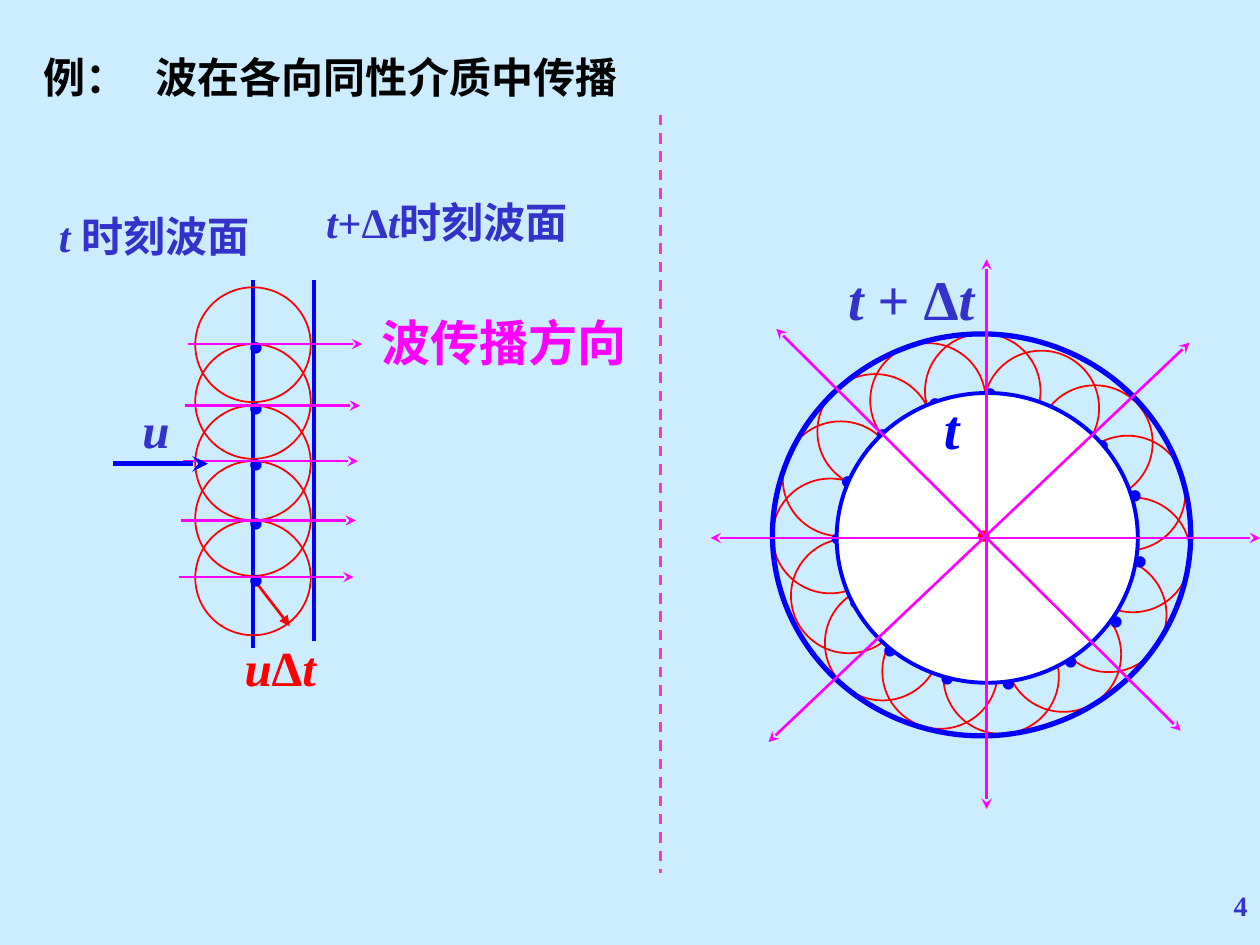
from dataclasses import dataclass

from lxml.etree import SubElement
from pptx import Presentation
from pptx.dml.color import RGBColor
from pptx.enum.dml import MSO_LINE
from pptx.enum.shapes import MSO_CONNECTOR, MSO_SHAPE
from pptx.enum.text import PP_ALIGN
from pptx.oxml.ns import qn
from pptx.util import Pt


@dataclass(frozen=True)
class Theme:
    font: str = "Times New Roman"
    background: str = "CCECFF"
    label: str = "3333CC"
    wavefront: str = "0000FF"
    wavelet: str = "FF0000"
    ray: str = "FF00FF"
    divider: str = "FF33CC"
    title: str = "000000"
    white: str = "FFFFFF"
    number_size: int = 16
    body_size: int = 24
    symbol_size: int = 28
    large_size: int = 32
    dot_size: int = 40


@dataclass(frozen=True)
class Box:
    left: float
    top: float
    width: float
    height: float

    def inner(self, left, top, width, height):
        return Box(self.left + left, self.top + top, width, height)

    def point(self, x, y):
        return self.left + x, self.top + y


THEME = Theme()
TIGHT = (0.72, 0.72)
NORMAL = (7.2, 3.6)
WAVELET_SIZE = (66, 65.6)


def add_text(slide, box, runs, size, color, insets=TIGHT, align=PP_ALIGN.JUSTIFY):
    """Add one paragraph made of (text, italic) runs."""
    shape = slide.shapes.add_textbox(Pt(box.left), Pt(box.top), Pt(box.width), Pt(box.height))
    text_frame = shape.text_frame
    text_frame.word_wrap = True
    text_frame.margin_left = text_frame.margin_right = Pt(insets[0])
    text_frame.margin_top = text_frame.margin_bottom = Pt(insets[1])
    paragraph = text_frame.paragraphs[0]
    paragraph.alignment = align
    for text, italic in runs:
        run = paragraph.add_run()
        run.text = text
        run.font.name = THEME.font
        run.font.size = Pt(size)
        run.font.bold = True
        run.font.italic = italic
        run.font.color.rgb = RGBColor.from_string(color)


def add_line(slide, start, end, color, width, head=None, tail=None, dash=None):
    connector = slide.shapes.add_connector(
        MSO_CONNECTOR.STRAIGHT, *(Pt(value) for value in (*start, *end)))
    connector.line.color.rgb = RGBColor.from_string(color)
    connector.line.width = Pt(width)
    if dash:
        connector.line.dash_style = dash
    properties = connector._element.spPr
    for tag, kind in (("a:headEnd", head), ("a:tailEnd", tail)):
        if kind:
            SubElement(properties.find(qn("a:ln")), qn(tag), type=kind)
    SubElement(properties, qn("a:effectLst"))


def add_ellipse(slide, box, color, width, fill=None):
    shape = slide.shapes.add_shape(
        MSO_SHAPE.OVAL, Pt(box.left), Pt(box.top), Pt(box.width), Pt(box.height))
    shape.shadow.inherit = False
    if fill:
        shape.fill.solid()
        shape.fill.fore_color.rgb = RGBColor.from_string(fill)
    else:
        shape.fill.background()
    shape.line.color.rgb = RGBColor.from_string(color)
    shape.line.width = Pt(width)


def add_dot(slide, box):
    add_text(slide, box, [("·", False)], THEME.dot_size, THEME.wavefront)


def add_title(slide, box):
    pieces = (("波在各向同性介质中传播", 64, 384.5), ("例：", 0, 131.8))
    for text, left, width in pieces:
        add_text(slide, box.inner(left, 0, width, box.height), [(text, False)],
                 THEME.body_size, THEME.title, NORMAL, PP_ALIGN.LEFT)


def add_plane_wave(slide, box):
    # Wavefronts and their labels
    add_text(slide, box.inner(152.6, 0, 257.8, 38.2),
             [("t", True), ("+Δ", False), ("t", True), ("时刻波面", False)],
             THEME.body_size, THEME.label)
    add_text(slide, box.inner(0, 7.9, 167.8, 36.7), [("t ", True), ("时刻波面", False)],
             THEME.body_size, THEME.label)
    for x, bottom in ((111.7, 258.5), (146.3, 254.9)):
        add_line(slide, box.point(x, 48.2), box.point(x, bottom), THEME.wavefront, 2.25)

    # Each wavelet starts at the height of the ray before it
    levels = (52.6, 85, 120.2, 151.9, 185.8, 218.2)
    for top in levels[:-1]:
        add_ellipse(slide, box.inner(78.6, top, *WAVELET_SIZE), THEME.wavelet, 1)
    add_line(slide, box.point(111, 218.2), box.point(132.6, 246.2),
             THEME.wavelet, 1.5, tail="triangle")
    for index, y in enumerate(levels[1:]):
        add_dot(slide, box.inner(106, y - 25.2, 30, 35))
        start = 74.2 - 1.25 * index
        add_line(slide, box.point(start, y), box.point(start + 99.8, y),
                 THEME.ray, 1.5, tail="stealth")
    add_text(slide, box.inner(106, 252, 56.2, 46.1),
             [("u", True), ("Δ", False), ("t", True)], THEME.symbol_size, THEME.wavelet)
    add_text(slide, box.inner(184.4, 66.2, 152.6, 33.8), [("波传播方向", False)],
             THEME.symbol_size, THEME.ray)

    # Wave speed
    add_line(slide, box.point(31.8, 153.4), box.point(85.8, 153.4),
             THEME.wavefront, 3, tail="stealth")
    add_text(slide, box.inner(41.2, 113, 41.8, 41), [("u", True)],
             THEME.symbol_size, THEME.label, NORMAL, PP_ALIGN.LEFT)


def add_circular_wave(slide, box):
    # All places are offsets from the wave source
    source = box.inner(157.7, 159.1, 0, 0)
    wavelet_centers = (
        (-2.2, -83.9), (-83.5, -33.8), (-63.7, -60.8), (61.9, -54.4), (31.3, -74.2),
        (-33.5, -78.5), (-89.3, -1.1), (-78.8, 33.1), (69.8, 43.9), (-26.6, 76.3),
        (-59.4, 60.1), (43.9, 66.6), (80.6, -25.6), (83.5, 9.7), (8.3, 79.2))
    width, height = WAVELET_SIZE
    for x, y in wavelet_centers:
        add_ellipse(slide, source.inner(x - width / 2, y - height / 2, width, height),
                    THEME.wavelet, 1)
    for x, y in wavelet_centers:
        rise = 25.5 if y < 0 else 23
        add_dot(slide, source.inner(x - 3.2, y - rise, 30, 35))

    # Outer and inner wavefronts
    add_ellipse(slide, source.inner(-122.4, -116.6, 239, 229.7), THEME.wavefront, 3)
    add_text(slide, source.inner(-79.9, -157, 93.6, 44.6),
             [("t ", True), ("+ Δ", False), ("t", True)], THEME.large_size, THEME.label)
    add_ellipse(slide, source.inner(-85.7, -82.8, 172.1, 165.6),
                THEME.wavefront, 2.25, THEME.white)
    add_text(slide, source.inner(-25.2, -83.5, 40.3, 55.4), [("t", True)],
             THEME.large_size, THEME.wavefront)
    add_text(slide, source.inner(-13, -20.2, 36, 36), [("•", False)],
             THEME.body_size, THEME.wavelet, NORMAL, PP_ALIGN.LEFT)

    # Rays through the source
    rays = (((-157.7, 0), (156.2, 0)), ((0, -159.1), (0, 154.8)),
            ((-120.2, -119.5), (110.9, 110.2)), ((-124.6, 116.6), (115.9, -111.6)))
    for start, end in rays:
        add_line(slide, source.point(*start), source.point(*end),
                 THEME.ray, 1.5, head="stealth", tail="stealth")


def main():
    presentation = Presentation()
    presentation.slide_width, presentation.slide_height = Pt(720), Pt(540)
    slide = presentation.slides.add_slide(presentation.slide_layouts[6])
    slide.background.fill.solid()
    slide.background.fill.fore_color.rgb = RGBColor.from_string(THEME.background)

    # Slide number, the two waves, title and divider
    add_text(slide, Box(570.2, 504, 149.8, 36), [("4", False)], THEME.number_size,
             THEME.label, NORMAL, PP_ALIGN.RIGHT)
    add_plane_wave(slide, Box(33, 111.6, 410, 298))
    add_circular_wave(slide, Box(406.1, 148.3, 314, 314))
    add_title(slide, Box(18, 25.9, 449, 36))
    add_line(slide, (377.3, 65.5), (377.3, 499), THEME.divider, 1.5, dash=MSO_LINE.DASH)
    presentation.save("out.pptx")


if __name__ == "__main__":
    main()
